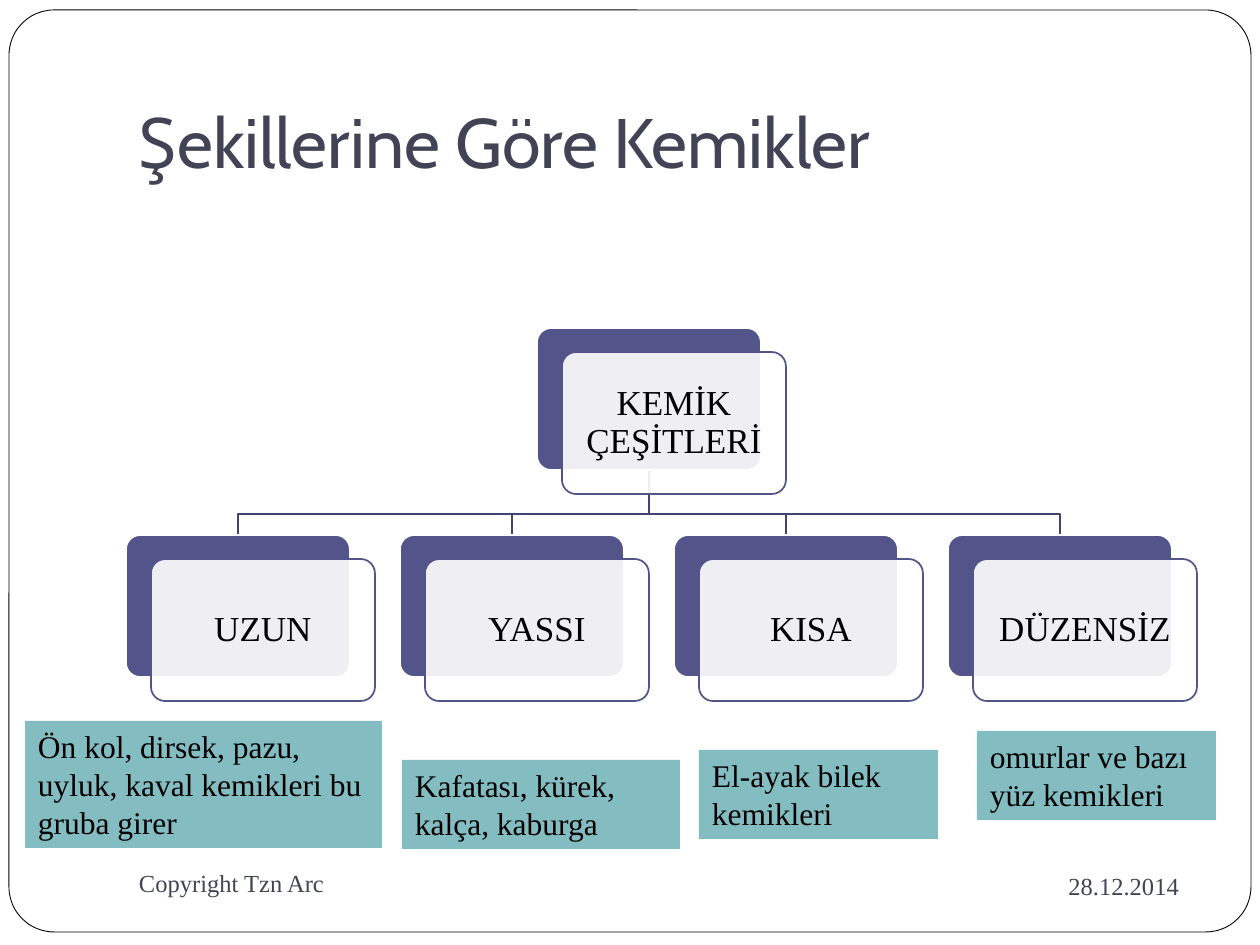
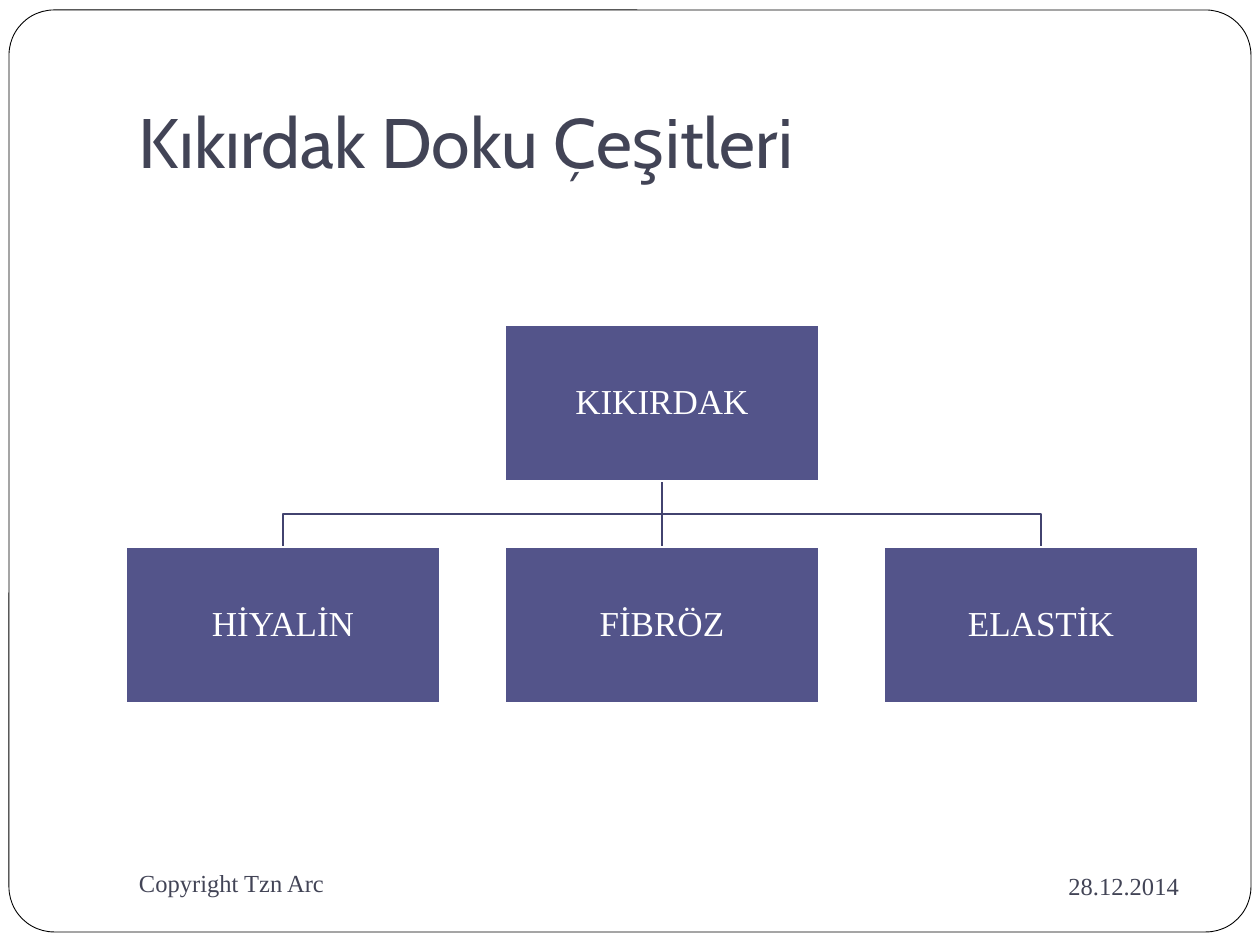
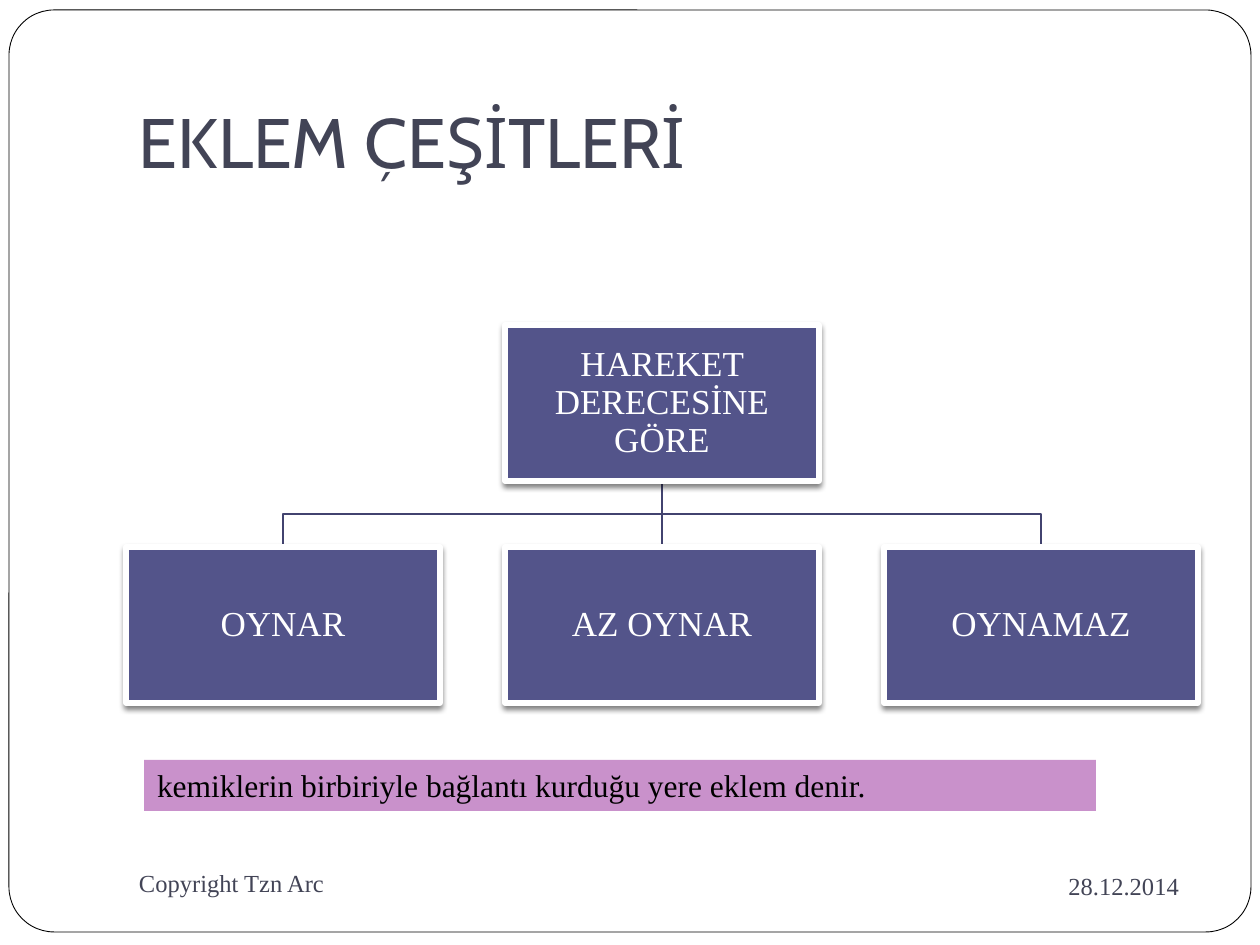
"""Build three slides of classification trees for bones, cartilage and joints."""
import pptx
import pptx.util
import pptx.dml.color
import pptx.enum.shapes
import pptx.enum.text
import pptx.oxml.ns
import lxml.etree

SCALE = 914400 / 126
SERIF, SANS = "Times New Roman", "Cabin"
INDIGO, LINK, SLATE = "53548A", "42436F", "424456"
TEAL, MAUVE, BLACK, WHITE = "83BCC1", "C991CB", "000000", "FFFFFF"
LEFT, BEND = 126, 514
SHAPE = pptx.enum.shapes.MSO_SHAPE
ALIGN = pptx.enum.text.PP_ALIGN
ANCHOR = pptx.enum.text.MSO_ANCHOR


def emu(px):
    return pptx.util.Emu(round(px * SCALE))


def color(hex_):
    return pptx.dml.color.RGBColor.from_string(hex_)


def add_xml(parent, tag, **attrs):
    attrs = {k: str(v) for k, v in attrs.items()}
    return lxml.etree.SubElement(parent, pptx.oxml.ns.qn(tag), attrs)


def set_line(sp, hex_, width):
    sp.line.color.rgb = color(hex_)
    sp.line.width = pptx.util.Pt(width)


def set_text(sp, text, size, hex_, font=SERIF, align=ALIGN.LEFT,
             anchor=ANCHOR.TOP, insets=(13, 6, 13, 6), spacing=1.0):
    tf = sp.text_frame
    tf.word_wrap = True
    tf.vertical_anchor = anchor
    tf.margin_left, tf.margin_top, tf.margin_right, tf.margin_bottom = map(emu, insets)
    tf.text = text
    p = tf.paragraphs[0]
    p.alignment = align
    p.line_spacing = spacing
    r = p.runs[0]
    r.font.name = font
    r.font.size = pptx.util.Pt(size)
    r.font.color.rgb = color(hex_)


def add_text(s, x, y, w, h, text, size, **style):
    sp = s.shapes.add_textbox(emu(x), emu(y), emu(w), emu(h))
    set_text(sp, text, size, SLATE, **style)


def add_box(s, kind, x, y, w, h, fill, line=None, width=1, radius=None):
    sp = s.shapes.add_shape(kind, emu(x), emu(y), emu(w), emu(h))
    sp.shadow.inherit = False
    sp.fill.solid()
    sp.fill.fore_color.rgb = color(fill)
    if line:
        set_line(sp, line, width)
    else:
        sp.line.fill.background()
    if radius is not None:
        sp.adjustments[0] = radius
    return sp


def add_note(s, x, y, w, h, text, fill=TEAL):
    set_text(add_box(s, SHAPE.RECTANGLE, x, y, w, h, fill), text, 18, BLACK)


def add_branch(s, x1, y1, x2, y2):
    if x1 == x2:
        sp = s.shapes.add_connector(pptx.enum.shapes.MSO_CONNECTOR.STRAIGHT,
                                    emu(x1), emu(y1), emu(x2), emu(y2))
        add_xml(sp._element.spPr, "a:effectLst")
    else:
        builder = s.shapes.build_freeform(x1, y1, SCALE)
        builder.add_line_segments([(x1, BEND), (x2, BEND), (x2, y2)], close=False)
        sp = builder.convert_to_shape()
        sp.shadow.inherit = False
        sp.fill.background()
    set_line(sp, LINK, 1)


def add_card(s, x, y, w, h, text):
    rounded = SHAPE.ROUNDED_RECTANGLE
    add_box(s, rounded, x, y, w, h, INDIGO, WHITE, radius=0.1)
    sp = add_box(s, rounded, x + 25, y + 24, w, h, WHITE, INDIGO, radius=0.1)
    fill = sp._element.spPr.find(pptx.oxml.ns.qn("a:solidFill"))
    add_xml(fill[0], "a:alpha", val=90000)
    set_text(sp, text, 20, BLACK, align=ALIGN.CENTER, anchor=ANCHOR.MIDDLE,
             insets=(6, 6, 6, 6), spacing=0.9)


def add_block(s, x, y, w, h, text, width=1):
    sp = add_box(s, SHAPE.RECTANGLE, x, y, w, h, INDIGO, WHITE, width)
    set_text(sp, text, 20, WHITE, align=ALIGN.CENTER, anchor=ANCHOR.MIDDLE,
             insets=(1, 1, 1, 1), spacing=0.9)
    return sp


def add_raised_block(s, x, y, w, h, text):
    sp = add_block(s, x, y, w, h, text, width=3)
    effects = sp._element.spPr.find(pptx.oxml.ns.qn("a:effectLst"))
    shadow = add_xml(effects, "a:outerShdw", blurRad=pptx.util.Pt(3),
                     dist=pptx.util.Pt(2), dir=5400000, algn="ctr", rotWithShape=0)
    add_xml(add_xml(shadow, "a:srgbClr", val=BLACK), "a:alpha", val=50000)


def add_tree(s, add_node, root, leaves, top, leaf_top, w, h, step):
    lefts = [LEFT + i * step for i in range(len(leaves))]
    root_left = (lefts[0] + lefts[-1]) // 2
    for x in reversed(lefts):
        add_branch(s, root_left + w // 2, top + h, x + w // 2, leaf_top)
    add_node(s, root_left, top, w, h, root)
    for x, leaf in zip(lefts, leaves):
        add_node(s, x, leaf_top, w, h, leaf)


def add_slide(prs, title):
    s = prs.slides.add_slide(prs.slide_layouts[6])
    add_box(s, SHAPE.ROUNDED_RECTANGLE, 9, 10, 1242, 922, WHITE, BLACK, 0.5, 0.049)
    add_text(s, LEFT, 38, 1071, 157, title, 40, font=SANS, anchor=ANCHOR.BOTTOM,
             insets=(13, 6, 13, 13))
    add_text(s, 850, 853, 342, 66, "28.12.2014", 14, align=ALIGN.RIGHT,
             anchor=ANCHOR.MIDDLE)
    add_text(s, LEFT, 851, 546, 63, "Copyright Tzn Arc", 14, anchor=ANCHOR.MIDDLE)
    return s


def main():
    prs = pptx.Presentation()
    prs.slide_width, prs.slide_height = emu(1260), emu(945)

    s = add_slide(prs, "Şekillerine Göre Kemikler")
    add_tree(s, add_card, "KEMİK ÇEŞİTLERİ", ["UZUN", "YASSI", "KISA", "DÜZENSİZ"],
             top=328, leaf_top=535, w=224, h=142, step=274)
    add_note(s, 25, 721, 357, 127,
             "Ön kol, dirsek, pazu, uyluk, kaval kemikleri bu gruba girer")
    add_note(s, 402, 760, 278, 89, "Kafatası, kürek, kalça, kaburga")
    add_note(s, 699, 750, 239, 89, "El-ayak bilek kemikleri")
    add_note(s, 977, 731, 239, 89, "omurlar ve bazı yüz kemikleri")

    blocks = dict(top=325, leaf_top=547, w=314, h=156, step=379)
    s = add_slide(prs, "Kıkırdak Doku Çeşitleri")
    add_tree(s, add_block, "KIKIRDAK", ["HİYALİN", "FİBRÖZ", "ELASTİK"], **blocks)

    s = add_slide(prs, "EKLEM ÇEŞİTLERİ")
    add_tree(s, add_raised_block, "HAREKET DERECESİNE GÖRE",
             ["OYNAR", "AZ OYNAR", "OYNAMAZ"], **blocks)
    add_note(s, 144, 760, 952, 51,
             "kemiklerin birbiriyle bağlantı kurduğu yere eklem denir.", MAUVE)

    prs.save("out.pptx")


if __name__ == "__main__":
    main()
